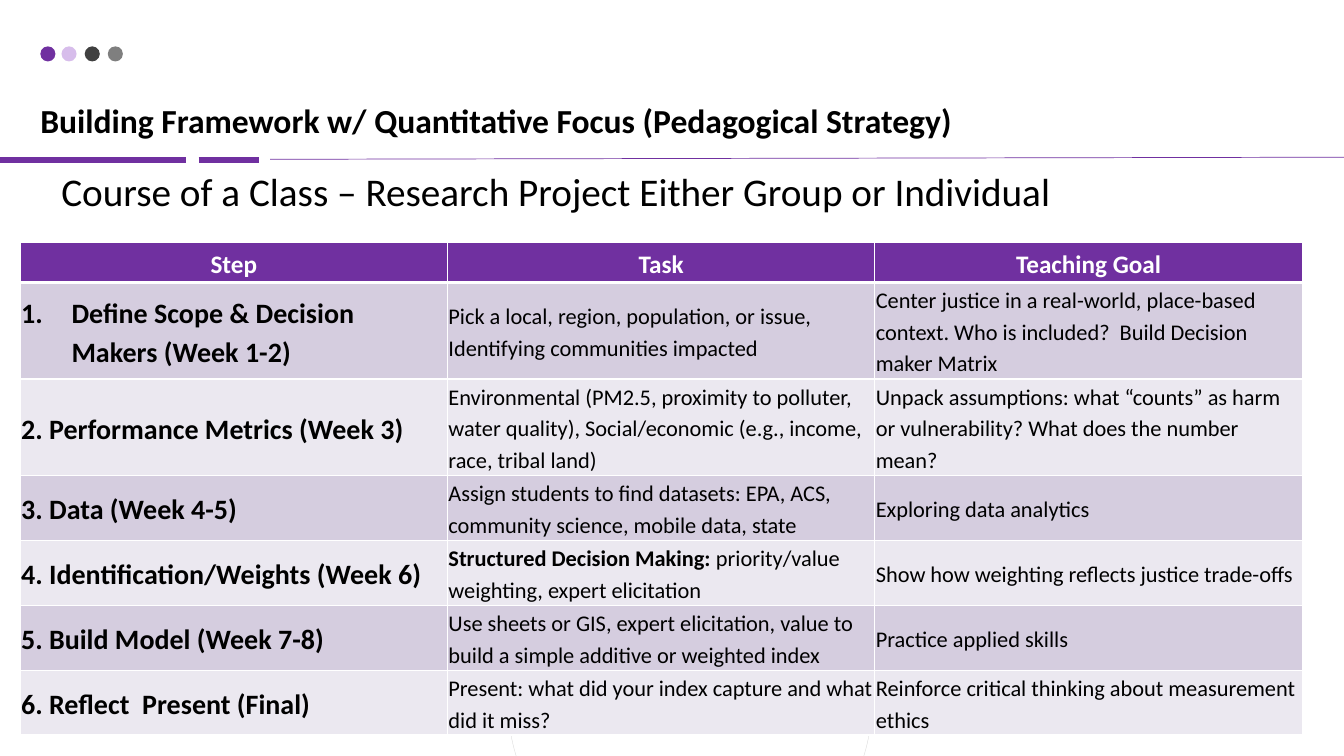
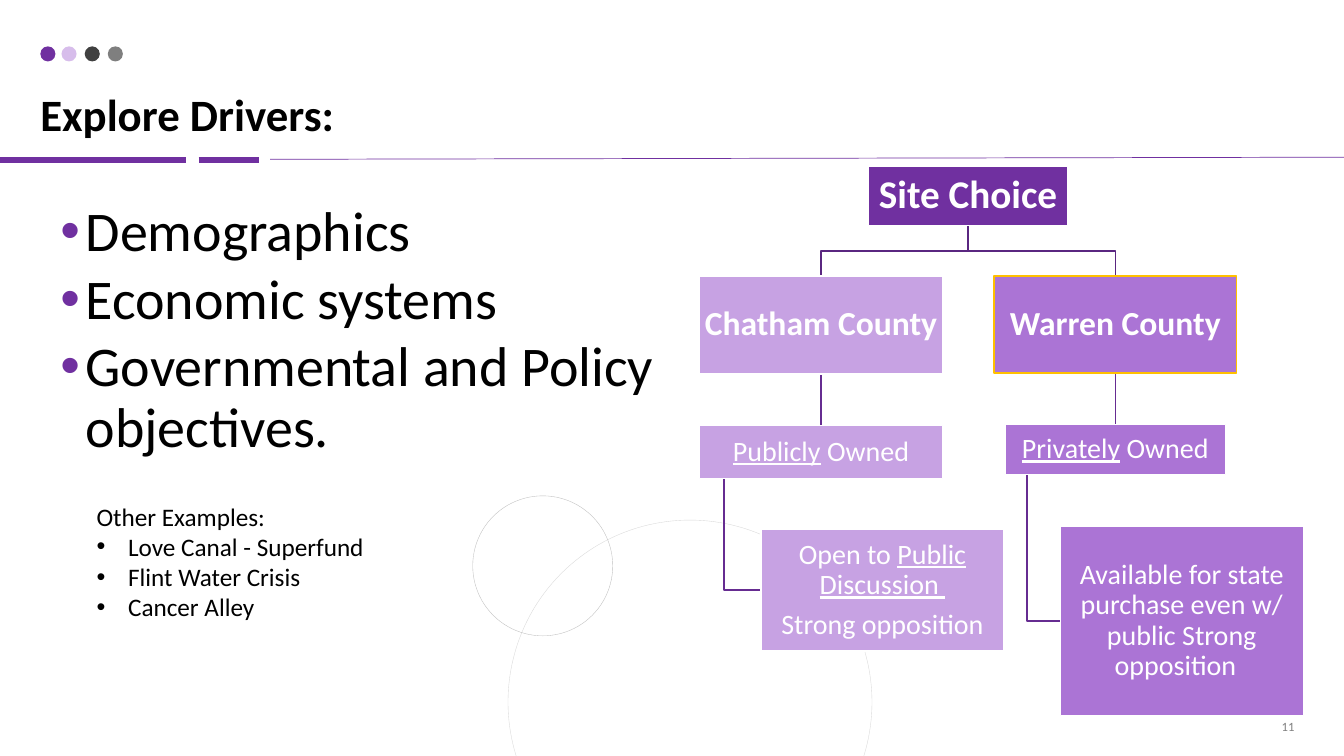
from lxml import etree
from pptx import Presentation
from pptx.dml.color import RGBColor
from pptx.enum.shapes import MSO_CONNECTOR, MSO_SHAPE
from pptx.enum.text import MSO_ANCHOR, MSO_AUTO_SIZE, PP_ALIGN
from pptx.oxml.ns import qn
from pptx.util import Pt

PLUM, LILAC, ORCHID, WHITE, BLACK = "7030A0", "C7A2E3", "AB74D5", "FFFFFF", "000000"
GRAY, GOLD = "7F7F7F", "FFC000"
BANDS = ("D5CDDF", "EBE8F0")

# Shared decoration
RULES = [((0, 114.5), (133.2, 114.5), 4.5), ((141.8, 114.5), (185, 114.5), 4.5),
         ((193, 113.8), (960, 112.3), 0.5)]
DOTS = [(28.8, PLUM), (43.9, LILAC), (60.5, "404040"), (77, GRAY)]
RINGS = [((362.9, 371.5, 260, 260), "D9D9D9"), ((337.7, 354.2, 100, 100), "BFBFBF")]

# Slide 1
PLAN = "Building Framework w/ Quantitative Focus (Pedagogical Strategy)"
COURSE = "Course of a Class – Research Project Either Group or Individual"
HEADS = ("Step", "Task", "Teaching Goal")
STEPS = [
    ("Define Scope & Decision Makers (Week 1-2)",
     "Pick a local, region, population, or issue, Identifying communities impacted",
     "Center justice in a real-world, place-based context. Who is included?  Build Decision maker Matrix"),
    ("2. Performance Metrics (Week 3)",
     "Environmental (PM2.5, proximity to polluter, water quality), "
     "Social/economic (e.g., income, race, tribal land)",
     "Unpack assumptions: what “counts” as harm or vulnerability? What does the number mean?"),
    ("3. Data (Week 4-5)",
     "Assign students to find datasets: EPA, ACS, community science, mobile data, state",
     "Exploring data analytics"),
    ("4. Identification/Weights (Week 6)",
     [("Structured Decision Making:", {"bold": True}),
      (" priority/value weighting, expert elicitation", {})],
     "Show how weighting reflects justice trade-offs"),
    ("5. Build Model (Week 7-8)",
     "Use sheets or GIS, expert elicitation, value to build a simple additive or weighted index",
     "Practice applied skills"),
    ("6. Reflect  Present (Final)",
     "Present: what did your index capture and what did it miss?",
     "Reinforce critical thinking about measurement ethics"),
]
ROWS = (29, 68.9, 68.9, 46.4, 46.4, 46.4, 46.4)

# Slide 2
TOPIC = "Explore Drivers:"
DRIVERS = ("Demographics", "Economic systems", "Governmental and Policy objectives.")
OTHERS = ("Other Examples:", "Love Canal - Superfund", "Flint Water Crisis", "Cancer Alley")
UNDER = {"underline": True}
NODES = {  # box, fill, line, font, paragraphs
    "site": ((620.6, 118.8, 141.8, 42.5), PLUM, WHITE, {"size": Pt(28), "bold": True},
             ["Site Choice"]),
    "chatham": ((499.7, 197.3, 173.5, 69.8), LILAC, WHITE, {"size": Pt(24), "bold": True},
                ["Chatham County"]),
    "public": ((499.7, 303.8, 173.5, 38.2), LILAC, WHITE, {"size": Pt(20)},
               [[("Publicly", UNDER), (" Owned", {})]]),
    "open": ((543.6, 378, 173.5, 87.1), LILAC, WHITE, {"size": Pt(20)},
             [[("Open to ", {}), ("Public Discussion ", UNDER)], "Strong opposition"]),
    "warren": ((709.9, 197.3, 173.5, 69.1), ORCHID, GOLD, {"size": Pt(24), "bold": True},
               ["Warren County"]),
    "private": ((717.8, 303.1, 157.7, 36), ORCHID, WHITE, {"size": Pt(20)},
                [[("Privately", UNDER), (" Owned", {})]]),
    "state": ((757.4, 375.8, 173.5, 135.4), ORCHID, WHITE, {"size": Pt(20)},
              ["Available for state purchase even w/ public Strong opposition  "]),
}
LINKS = [("site", "chatham", "fork"), ("site", "warren", "fork"),
         ("chatham", "public", "drop"), ("warren", "private", "drop"),
         ("public", "open", "side"), ("private", "state", "side")]


def color(code):
    return RGBColor.from_string(code)


def apply(thing, form):
    for name, value in form.items():
        setattr(thing, name, value)


def pts(box):
    return [Pt(n) for n in box]


def place(shape, box):
    apply(shape, dict(zip(("left", "top", "width", "height"), pts(box))))


def pad(thing, *sides):
    names = ("margin_left", "margin_top", "margin_right", "margin_bottom")
    apply(thing, dict(zip(names, pts(sides * 4))))


def write(para, text, font, hue=BLACK, form={}):
    """Fill a paragraph from a string or from (text, font extras) pairs."""
    apply(para, form)
    for part, more in [(text, {})] if isinstance(text, str) else text:
        run = para.add_run()
        run.text = part
        apply(run.font, {"name": "Calibri", **font, **more})
        run.font.color.rgb = color(hue)


def fill(frame, texts):
    """Yield a paragraph of the frame for each text."""
    for i, text in enumerate(texts):
        yield (frame.add_paragraph() if i else frame.paragraphs[0]), text


def sub(node, tag, **attrs):
    return etree.SubElement(node, qn("a:" + tag), attrs)


def mark(para, left, hang, hue=None, number=False):
    """Give a paragraph a hanging bullet or number."""
    props = para._p.get_or_add_pPr()
    props.set("marL", str(Pt(left)))
    props.set("indent", str(-Pt(hang)))
    if hue:
        sub(sub(props, "buClr"), "srgbClr", val=hue)
    if number:
        sub(props, "buAutoNum", type="arabicPeriod")
    else:
        sub(props, "buFont", typeface="Arial")
        sub(props, "buChar", char="•")


def stroke(shape, hue, width):
    shape.line.color.rgb = color(hue)
    shape.line.width = Pt(width)


def rule(slide, start, end, hue, width):
    line = slide.shapes.add_connector(MSO_CONNECTOR.STRAIGHT, *pts(start + end))
    stroke(line, hue, width)
    sub(line._element.spPr, "effectLst")


def draw(slide, kind, box, hue=None, edge=None, width=1):
    shape = slide.shapes.add_shape(kind, *pts(box))
    shape.shadow.inherit = False
    if hue:
        shape.fill.solid()
        shape.fill.fore_color.rgb = color(hue)
    else:
        shape.fill.background()
    if edge:
        stroke(shape, edge, width)
    else:
        shape.line.fill.background()
    return shape


def label(slide, box):
    frame = slide.shapes.add_textbox(*pts(box)).text_frame
    frame.word_wrap = True
    return frame


def start(deck, layout, title, size, box):
    """Add a slide with its title and the shared decoration."""
    slide = deck.slides.add_slide(deck.slide_layouts[layout])
    place(slide.shapes.title, box)
    frame = slide.shapes.title.text_frame
    apply(frame, {"vertical_anchor": MSO_ANCHOR.BOTTOM, "auto_size": MSO_AUTO_SIZE.NONE})
    pad(frame, 0)
    write(frame.paragraphs[0], title, {"size": Pt(size), "bold": True},
          form={"alignment": PP_ALIGN.LEFT, "line_spacing": 0.9})
    for head, tail, width in RULES:
        rule(slide, head, tail, PLUM, width)
    for left, hue in DOTS:
        dot = draw(slide, MSO_SHAPE.OVAL, (left, 33.1, 10.8, 10.8), hue)
        if hue == LILAC:
            sub(dot._element.spPr.find(".//" + qn("a:srgbClr")), "alpha", val="70000")
    for ring, hue in RINGS:
        draw(slide, MSO_SHAPE.OVAL, ring, edge=hue, width=0.25)
    return slide


def border(cell, bottom):
    props = cell._tc.get_or_add_tcPr()
    for i, side in enumerate(("lnL", "lnR", "lnT", "lnB")):
        width = bottom if side == "lnB" else 1
        line = etree.Element(qn("a:" + side), w=str(Pt(width)))
        sub(sub(line, "solidFill"), "srgbClr", val=WHITE)
        props.insert(i, line)


def grid(slide):
    frame = slide.shapes.add_table(len(ROWS), 3, *pts((14.4, 172.8, 915.84, sum(ROWS))))
    table = frame.table
    for row, high in zip(table.rows, ROWS):
        row.height = Pt(high)
    for r, texts in enumerate([HEADS] + STEPS):
        for c, text in enumerate(texts):
            cell = table.cell(r, c)
            pad(cell, 0.7)
            cell.vertical_anchor = MSO_ANCHOR.MIDDLE
            cell.fill.solid()
            cell.fill.fore_color.rgb = color(BANDS[(r - 1) % 2] if r else PLUM)
            border(cell, 1 if r else 3)
            para = cell.text_frame.paragraphs[0]
            if (r, c) == (1, 0):
                mark(para, 36, 36, number=True)
            size = 18 if r == 0 else 20 if c == 0 else 16
            write(para, text, {"size": Pt(size), "bold": r == 0 or c == 0},
                  BLACK if r else WHITE,
                  {"alignment": PP_ALIGN.LEFT if r else PP_ALIGN.CENTER,
                   "line_spacing": 1.15, "space_after": Pt(8)})


def link(slide, top, low, kind):
    """Join the box of a parent node to the box of its child."""
    (x, y, w, h), (u, v, p, q) = top, low
    mid, end, base = x + w / 2, u + p / 2, y + h
    if kind == "drop":
        rule(slide, (mid, base), (end, v), "662C91", 1)
        return
    if kind == "fork":
        half = (base + v) / 2
        path, hue = [(mid, base), (mid, half), (end, half), (end, v)], "5A2680"
    else:
        side, level = x + w / 10, v + q / 2
        path, hue = [(side, base), (side, level), (u, level)], "662C91"
    path = [tuple(pts(p)) for p in path]
    maker = slide.shapes.build_freeform(*path[0])
    maker.add_line_segments(path[1:], close=False)
    line = maker.convert_to_shape()
    line.shadow.inherit = False
    line.fill.background()
    stroke(line, hue, 1)


def tree(slide):
    for top, low, kind in LINKS:
        link(slide, NODES[top][0], NODES[low][0], kind)
    for box, hue, edge, font, texts in NODES.values():
        frame = draw(slide, MSO_SHAPE.RECTANGLE, box, hue, edge).text_frame
        apply(frame, {"word_wrap": True, "vertical_anchor": MSO_ANCHOR.MIDDLE})
        pad(frame, 1)
        for para, text in fill(frame, texts):
            write(para, text, font, WHITE, {"alignment": PP_ALIGN.CENTER,
                                            "line_spacing": 0.9, "space_after": Pt(7)})


def main():
    deck = Presentation()
    deck.slide_width, deck.slide_height = Pt(960), Pt(540)

    plan = start(deck, 5, PLAN, 24, (28.8, 28.8, 902.9, 72))
    grid(plan)
    write(label(plan, (36.7, 115.9, 786.2, 41)).paragraphs[0], COURSE, {"size": Pt(28)})

    topic = start(deck, 1, TOPIC, 32, (28.8, 19.4, 902.9, 81.4))
    body = topic.placeholders[1]
    place(body, (0, 141.8, 480.2, 339.1))
    body.text_frame.auto_size = MSO_AUTO_SIZE.NONE
    for i, (para, text) in enumerate(fill(body.text_frame, DRIVERS)):
        mark(para, 54, 18, PLUM)
        write(para, text, {"size": Pt(40)}, form={
            "level": 1, "line_spacing": 0.9, "space_before": Pt(5 if i else 0)})
    tree(topic)
    for i, (para, text) in enumerate(fill(label(topic, (61.9, 354.2, 418.3, 94.3)), OTHERS)):
        if i:
            mark(para, 22.5, 22.5)
        write(para, text, {"size": Pt(18)})
    page = label(topic, (715.7, 509, 216, 19.4))
    page.vertical_anchor = MSO_ANCHOR.MIDDLE
    write(page.paragraphs[0], "11", {"size": Pt(9)}, GRAY, {"alignment": PP_ALIGN.RIGHT})

    deck.save("out.pptx")


if __name__ == "__main__":
    main()
